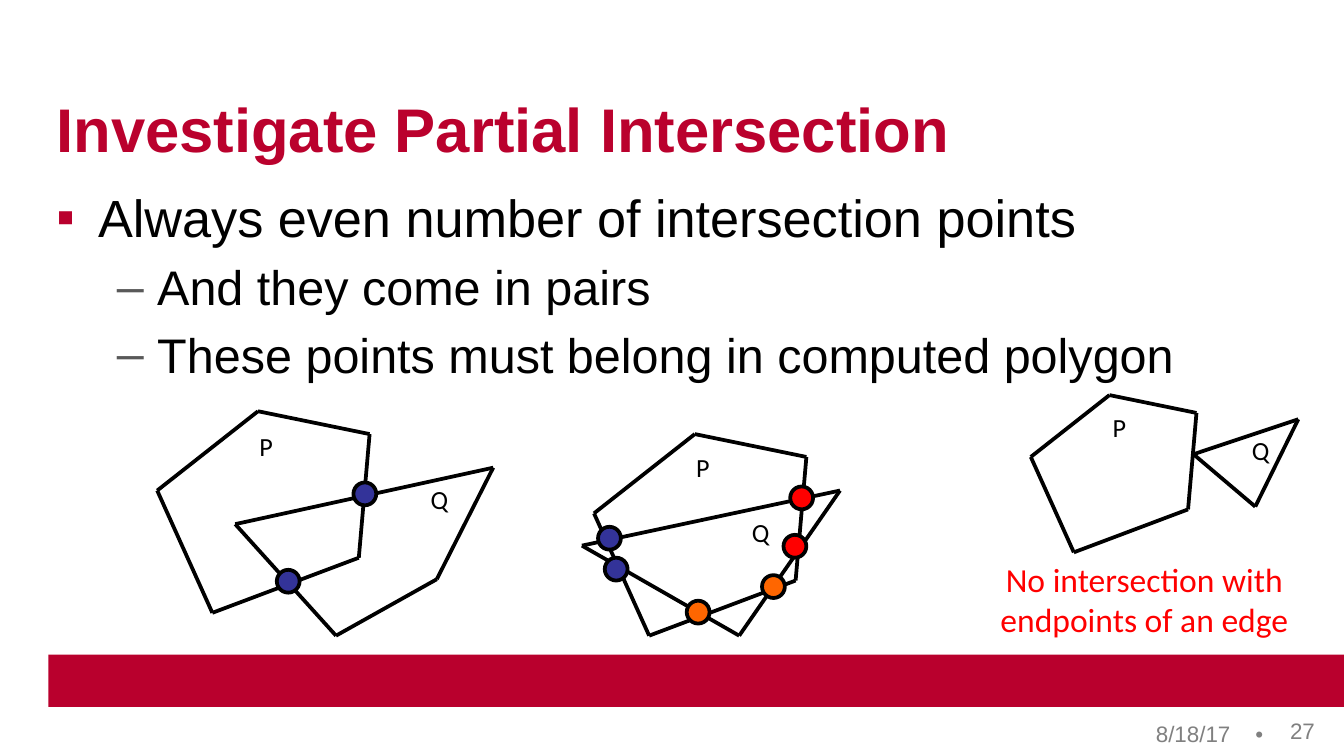
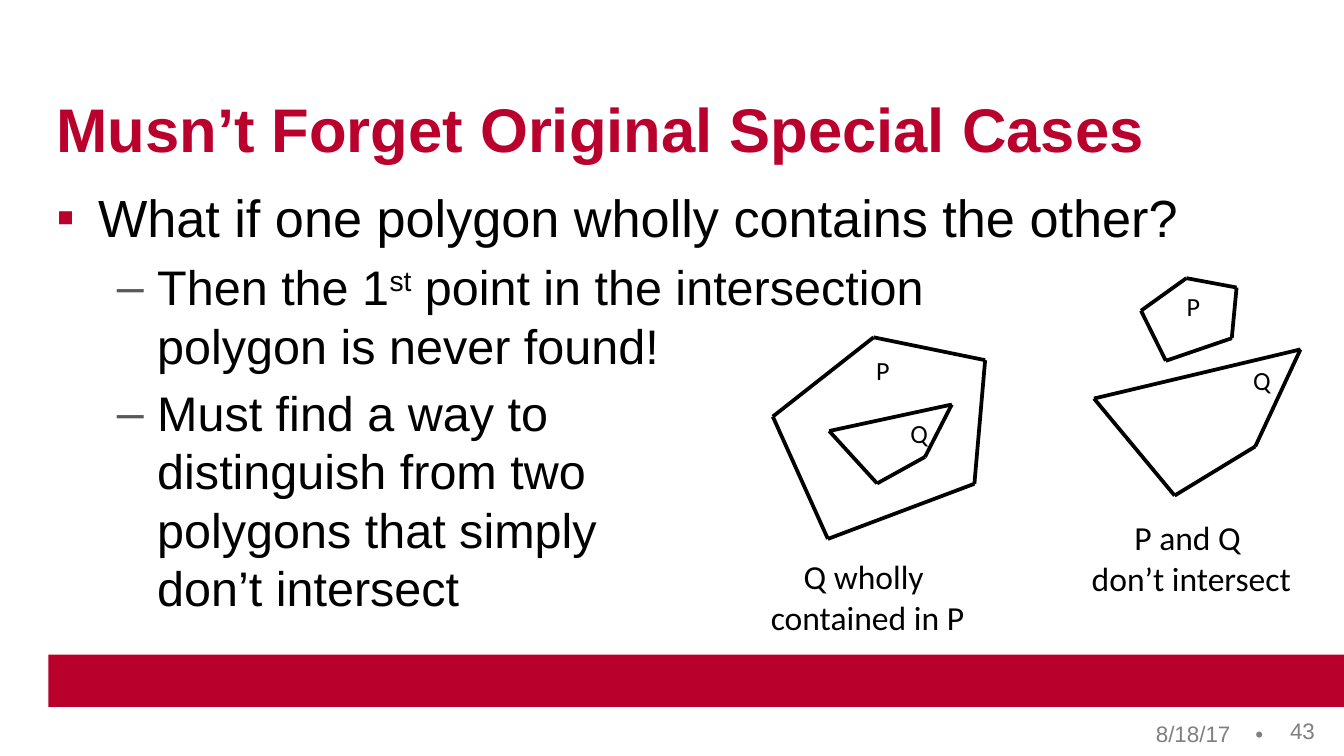
"""Builds two slides on the intersection of convex polygons."""
import pptx
import pptx.util
import pptx.dml.color
import pptx.enum.shapes
import pptx.enum.text
import pptx.oxml
import pptx.oxml.ns
from lxml import etree

Inches, Pt = pptx.util.Inches, pptx.util.Pt
ALIGN, ANCHOR = pptx.enum.text.PP_ALIGN, pptx.enum.text.MSO_ANCHOR
SHAPE = pptx.enum.shapes.MSO_SHAPE

BAND, TITLE, BLACK, GREY, DASH = "B9002D", "BA012D", "000000", "808080", "595959"
BLUE, ORANGE, RED = "333399", "FF6600", "FF0000"
DATE = "8/18/17"
DOT = 0.17
LABEL_WIDTHS = {"P": 0.3, "Q": 0.36}

LEVELS = [
    {"size": 28, "left": 0.31, "hang": 0.31, "mark": "▪", "color": BAND},
    {"size": 26, "left": 0.75, "hang": 0.3, "mark": "–", "color": DASH},
]

PENTAGON = [(0.75, 0), (0, 0.59), (0.41, 1.5), (1.5, 1.09), (1.58, 0.17)]
QUAD = [(0, 0.42), (0.75, 1.25), (1.5, 0.83), (1.92, 0)]
WIDE_TRIANGLE = [(0, 0.41), (1.17, 1.08), (1.92, 0)]
SMALL_TRIANGLE = [(0, 0.26), (0.46, 0.65), (0.78, 0)]

SLIDES = [
    {
        "title": "Investigate Partial Intersection",
        "number": "27",
        "bullets": [
            (0, ["Always even number of intersection points"]),
            (1, ["And they come in pairs"]),
            (1, ["These points must belong in computed polygon"]),
        ],
        "polygons": [
            (PENTAGON, (1.17, 3.06), (1, 1), "P", (1.98, 3.32)),
            (QUAD, (1.75, 3.48), (1, 1), "Q", (3.27, 3.72)),
            (PENTAGON, (4.42, 3.23), (1, 1), "P", (5.23, 3.48)),
            (WIDE_TRIANGLE, (4.33, 3.65), (1, 1), "Q", (5.66, 3.96)),
            (PENTAGON, (7.67, 2.94), (0.78, 0.78), "P", (8.33, 3.18)),
            (SMALL_TRIANGLE, (8.88, 3.12), (1, 1), "Q", (9.38, 3.35)),
        ],
        "dots": [
            (BLUE, [(2.63, 3.59), (2.06, 4.24), (4.45, 3.92), (4.5, 4.15)]),
            (ORANGE, [(5.11, 4.47), (5.67, 4.28)]),
            (RED, [(5.83, 3.98), (5.88, 3.62)]),
        ],
        "captions": [
            ("No intersection with\nendpoints of an edge", (7.34, 4.11, 2.35, 0.71), RED),
        ],
    },
    {
        "title": "Musn’t Forget Original Special Cases",
        "number": "43",
        "bullets": [
            (0, ["What if one polygon wholly contains the other?"]),
            (1, ["Then the 1", ("st", 30), " point in the intersection\npolygon is never found!"]),
            (1, ["Must find a way to \ndistinguish from two \npolygons that simply\ndon’t intersect"]),
        ],
        "polygons": [
            (PENTAGON, (5.75, 2.51), (1, 1), "P", (6.57, 2.76)),
            (QUAD, (6.17, 3.01), (0.475, 0.47), "Q", (6.84, 3.23)),
            (PENTAGON, (8.49, 2.07), (0.45, 0.41), "P", (8.88, 2.28)),
            (QUAD, (8.14, 2.6), (0.8, 0.87), "Q", (9.39, 2.83)),
        ],
        "dots": [],
        "captions": [
            ("Q wholly \ncontained in P", (5.63, 4.09, 1.65, 0.71), BLACK),
            ("P and Q \ndon’t intersect", (7.98, 3.8, 1.77, 0.71), BLACK),
        ],
    },
]


def rgb(color):
    return pptx.dml.color.RGBColor.from_string(color)


def add_element(parent, tag, **attributes):
    return etree.SubElement(parent, pptx.oxml.ns.qn("a:" + tag), attributes)


def add_box(s, at, insets=None, wrap=True, anchor=ANCHOR.TOP):
    sp = s.shapes.add_textbox(*map(Inches, at))
    tf = sp.text_frame
    tf.word_wrap = wrap
    tf.vertical_anchor = anchor
    if insets is not None:
        tf.margin_left, tf.margin_top, tf.margin_right, tf.margin_bottom = map(Inches, insets)
    return tf


def add_text(p, text, size, color, font="Arial", bold=False, baseline=0):
    for i, line in enumerate(text.split("\n")):
        if i:
            p.add_line_break()
        r = p.add_run()
        r.text = line
        r.font.size, r.font.name, r.font.bold = Pt(size), font, bold
        r.font.color.rgb = rgb(color)
        if baseline:
            r.font._element.set("baseline", str(baseline * 1000))


def add_centred(s, text, at, size, color=BLACK):
    p = add_box(s, at, wrap=False).paragraphs[0]
    p.alignment = ALIGN.CENTER
    add_text(p, text, size, color, "Calibri")


def add_frame(s, title, number):
    band = s.shapes.add_shape(SHAPE.RECTANGLE, *map(Inches, (0.36, 4.87, 9.66, 0.39)))
    band.shadow.inherit = False
    band.fill.solid()
    band.fill.fore_color.rgb = rgb(BAND)
    band.line.fill.background()

    p = add_box(s, (6.39, 5.34, 3.11, 0.23), (2.21, 0.05, 0, 0.05), anchor=ANCHOR.MIDDLE).paragraphs[0]
    tabs = add_element(p._p.get_or_add_pPr(), "tabLst")
    add_element(tabs, "tab", pos=str(Inches(0.74)), algn="l")
    add_text(p, DATE + "\t•", 12, GREY)
    add_text(add_box(s, (9.5, 5.29, 0.42, 0.25)).paragraphs[0], number, 12, GREY)

    p = add_box(s, (0.42, 0.38, 8.5, 0.85), (0, 0, 0, 0), anchor=ANCHOR.BOTTOM).paragraphs[0]
    p.line_spacing = Pt(34)
    add_text(p, title, 33, TITLE, bold=True)


def add_bullets(s, bullets):
    tf = add_box(s, (0.42, 1.38, 8.5, 3.44), (0, 0, 0, 0))
    for i, (depth, runs) in enumerate(bullets):
        level = LEVELS[depth]
        p = tf.add_paragraph() if i else tf.paragraphs[0]
        p.level = depth
        p.space_before = Pt(5 if i else 0)
        pPr = p._p.get_or_add_pPr()
        pPr.set("marL", str(Inches(level["left"])))
        pPr.set("indent", str(-Inches(level["hang"])))
        add_element(add_element(pPr, "buClr"), "srgbClr", val=level["color"])
        add_element(pPr, "buFont", typeface="Arial")
        add_element(pPr, "buChar", char=level["mark"])
        for run in runs:
            text, baseline = (run, 0) if isinstance(run, str) else run
            add_text(p, text, level["size"], BLACK, baseline=baseline)


def add_polygon(s, outline, origin, scale, name, centre):
    width, height = LABEL_WIDTHS[name], 0.34
    add_centred(s, name, (centre[0] - width / 2, centre[1] - height / 2, width, height), 14)
    corners = [tuple(Inches(o + k * v) for o, k, v in zip(origin, scale, point)) for point in outline]
    for start, end in zip(corners, corners[1:] + corners[:1]):
        edge = s.shapes.add_connector(pptx.enum.shapes.MSO_CONNECTOR.STRAIGHT, *start, *end)
        edge.line.color.rgb = rgb(BLACK)
        edge.line.width = Pt(2)
        add_element(edge._element.spPr, "effectLst")


def add_dot(s, color, corner):
    sp = s.shapes.add_shape(SHAPE.OVAL, *map(Inches, (*corner, DOT, DOT)))
    sp.shadow.inherit = False
    sp.fill.solid()
    sp.fill.fore_color.rgb = rgb(color)
    sp.line.color.rgb = rgb(BLACK)
    sp.line.width = Pt(2)


def main():
    prs = pptx.Presentation()
    prs.slide_width, prs.slide_height = Inches(10), Inches(10 * 9 / 16)
    for content in SLIDES:
        s = prs.slides.add_slide(prs.slide_layouts[6])
        add_frame(s, content["title"], content["number"])
        add_bullets(s, content["bullets"])
        for polygon in content["polygons"]:
            add_polygon(s, *polygon)
        for color, corners in content["dots"]:
            for corner in corners:
                add_dot(s, color, corner)
        for text, at, color in content["captions"]:
            add_centred(s, text, at, 18, color)
    prs.save("out.pptx")


if __name__ == "__main__":
    main()
